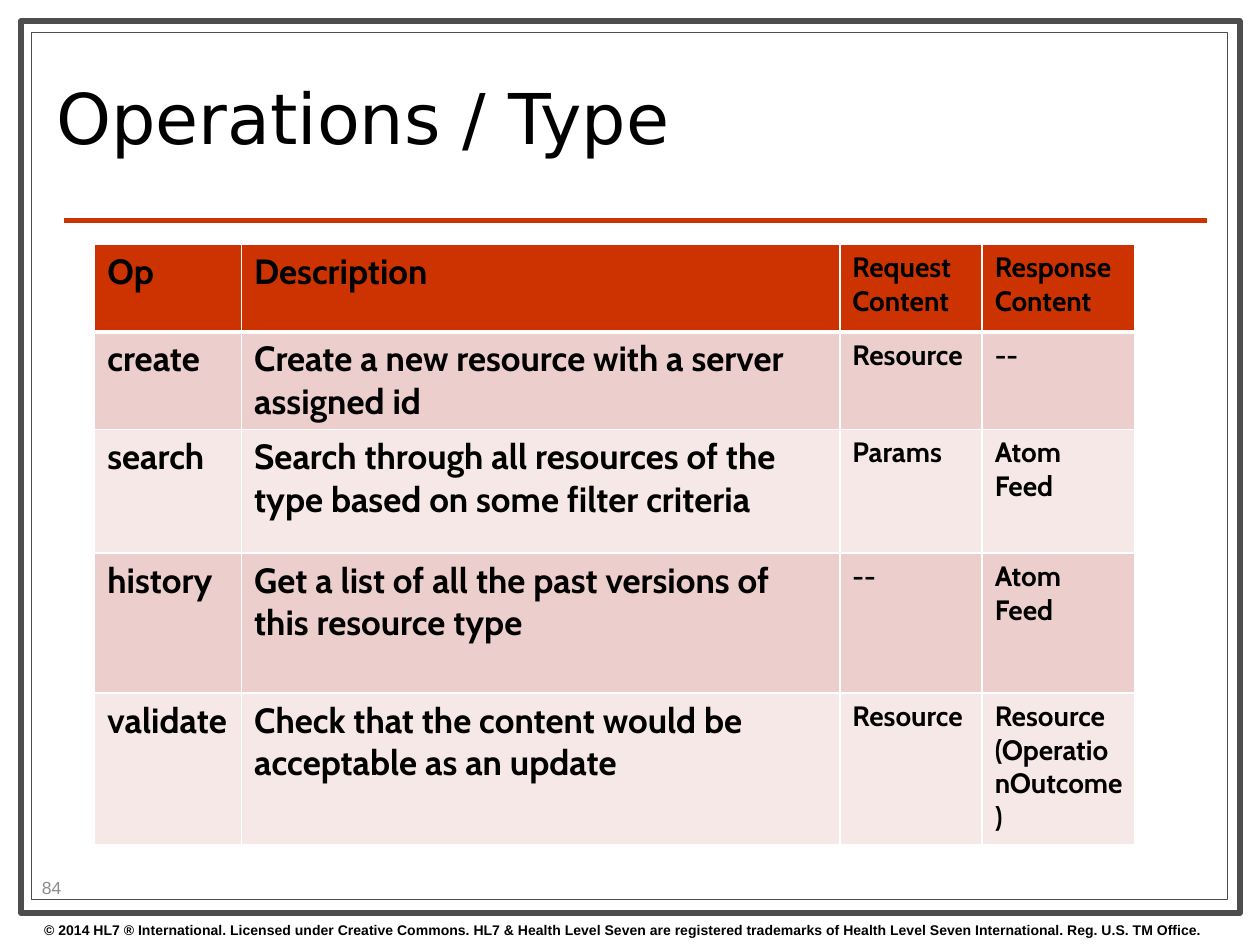
from typing import NamedTuple

from lxml import etree
from pptx import Presentation
from pptx.dml.color import RGBColor
from pptx.enum.shapes import MSO_CONNECTOR, MSO_SHAPE
from pptx.enum.text import MSO_ANCHOR, PP_ALIGN
from pptx.oxml.ns import qn
from pptx.util import Cm, Pt

RECT, OVAL = MSO_SHAPE.RECTANGLE, MSO_SHAPE.OVAL
STRAIGHT = MSO_CONNECTOR.STRAIGHT
MIDDLE, LEFT = MSO_ANCHOR.MIDDLE, PP_ALIGN.LEFT

COLORS = {
    "white": "FFFFFF",
    "black": "000000",
    "frame": "4D4D4D",
    "accent": "CC3300",
    "band_dark": "ECCECC",
    "band_light": "F6E8E7",
    "number": "8C8C8C",
}


class Box(NamedTuple):
    left: float
    top: float
    width: float
    height: float

    def lengths(self) -> list:
        return [Cm(v) for v in self]


class Frame(NamedTuple):
    box: Box
    weight: float


class Style(NamedTuple):
    font: str
    size: float
    color: str = "black"
    bold: bool = False


class Operation(NamedTuple):
    name: str
    description: str
    request: str
    response: str


FRAMES = [
    Frame(Box(0.43, 0.43, 24.56, 17.98), 3.5),
    Frame(Box(0.64, 0.66, 24.1, 17.48), 0.75),
]
HEADER = Operation("Op", "Description", "Request Content", "Response Content")
OPERATIONS = [
    Operation("create", "Create a new resource with a server assigned id", "Resource", "--"),
    Operation("search", "Search through all resources of the type based on some filter criteria",
              "Params", "Atom Feed"),
    Operation("history", "Get a list of all the past versions of this resource type",
              "--", "Atom Feed"),
    Operation("validate", "Check that the content would be acceptable as an update",
              "Resource", "Resource (OperationOutcome)"),
]
COLUMN_WIDTHS = [2.96, 12.06, 2.87, 3.07]
COLUMN_SIZES = [20, 20, 16, 16]
ROW_HEIGHTS = [1.76, 1.97, 2.49, 2.82, 3.06]
COPYRIGHT = (
    "© 2014 HL7 ® International. Licensed under Creative Commons. "
    "HL7 & Health Level Seven are registered trademarks of "
    "Health Level Seven International. Reg. U.S. TM Office."
)


def rgb(name: str) -> RGBColor:
    return RGBColor.from_string(COLORS[name])


def write(tf, text: str, style: Style):
    p = tf.paragraphs[0]
    p.alignment = LEFT
    p.add_run().text = text
    p.font.name = style.font
    p.font.size = Pt(style.size)
    p.font.bold = style.bold
    p.font.color.rgb = rgb(style.color)
    return p


def add_frame(s, frame: Frame) -> None:
    sp = s.shapes.add_shape(RECT, *frame.box.lengths())
    sp.shadow.inherit = False
    sp.fill.solid()
    sp.fill.fore_color.rgb = rgb("white")
    sp.line.color.rgb = rgb("frame")
    sp.line.width = Pt(frame.weight)


def add_rule(s, left: float, right: float, top: float) -> None:
    line = s.shapes.add_connector(STRAIGHT, Cm(left), Cm(top), Cm(right), Cm(top))
    line.line.color.rgb = rgb("accent")
    line.line.width = Pt(3)
    etree.SubElement(line._element.spPr, qn("a:effectLst"))


def add_text(s, box: Box, text: str, style: Style):
    tf = s.shapes.add_textbox(*box.lengths()).text_frame
    tf.word_wrap = True
    tf.vertical_anchor = MIDDLE
    return write(tf, text, style)


def add_page_number(s, box: Box, text: str) -> None:
    sp = s.shapes.add_shape(OVAL, *box.lengths())
    sp.shadow.inherit = False
    sp.fill.background()
    sp.line.fill.background()
    sp.text_frame.vertical_anchor = MIDDLE
    write(sp.text_frame, text, Style("Arial", 10, "number"))


def set_borders(cell, bottom: float) -> None:
    tc_pr = cell._tc.get_or_add_tcPr()
    for side, weight in (("L", 1), ("R", 1), ("T", 1), ("B", bottom)):
        ln = etree.SubElement(tc_pr, qn(f"a:ln{side}"), w=str(Pt(weight)))
        fill = etree.SubElement(ln, qn("a:solidFill"))
        etree.SubElement(fill, qn("a:srgbClr"), val=COLORS["white"])


def add_operations_table(s, left: float, top: float) -> None:
    rows = [HEADER, *OPERATIONS]
    box = Box(left, top, sum(COLUMN_WIDTHS), sum(ROW_HEIGHTS))
    table = s.shapes.add_table(len(rows), len(COLUMN_WIDTHS), *box.lengths()).table
    table.horz_banding = False
    for column, width in zip(table.columns, COLUMN_WIDTHS):
        column.width = Cm(width)
    for i, (row, height, texts) in enumerate(zip(table.rows, ROW_HEIGHTS, rows)):
        row.height = Cm(height)
        band = "band_dark" if i % 2 else "band_light"
        for cell, text, size in zip(row.cells, texts, COLUMN_SIZES):
            set_borders(cell, 1 if i else 3)
            cell.fill.solid()
            cell.fill.fore_color.rgb = rgb(band if i else "accent")
            write(cell.text_frame, text, Style("Cabin", size, bold=True))


def main() -> None:
    prs = Presentation()
    prs.slide_width, prs.slide_height = Cm(25.4), Cm(19.05)
    s = prs.slides.add_slide(prs.slide_layouts[6])
    for frame in FRAMES:
        add_frame(s, frame)
    add_rule(s, 1.3, 24.33, 4.44)
    add_text(s, Box(0.64, 18.46, 25.4, 0.59), COPYRIGHT, Style("Arial", 8, bold=True))
    title = add_text(s, Box(0.89, 0.91, 18.21, 3.2), "Operations / Type",
                     Style("DejaVu Sans", 40))
    title.line_spacing = 0.8
    add_operations_table(s, 1.91, 4.93)
    add_page_number(s, Box(0.41, 17.25, 1.27, 1.27), "84")
    prs.save("out.pptx")


if __name__ == "__main__":
    main()
